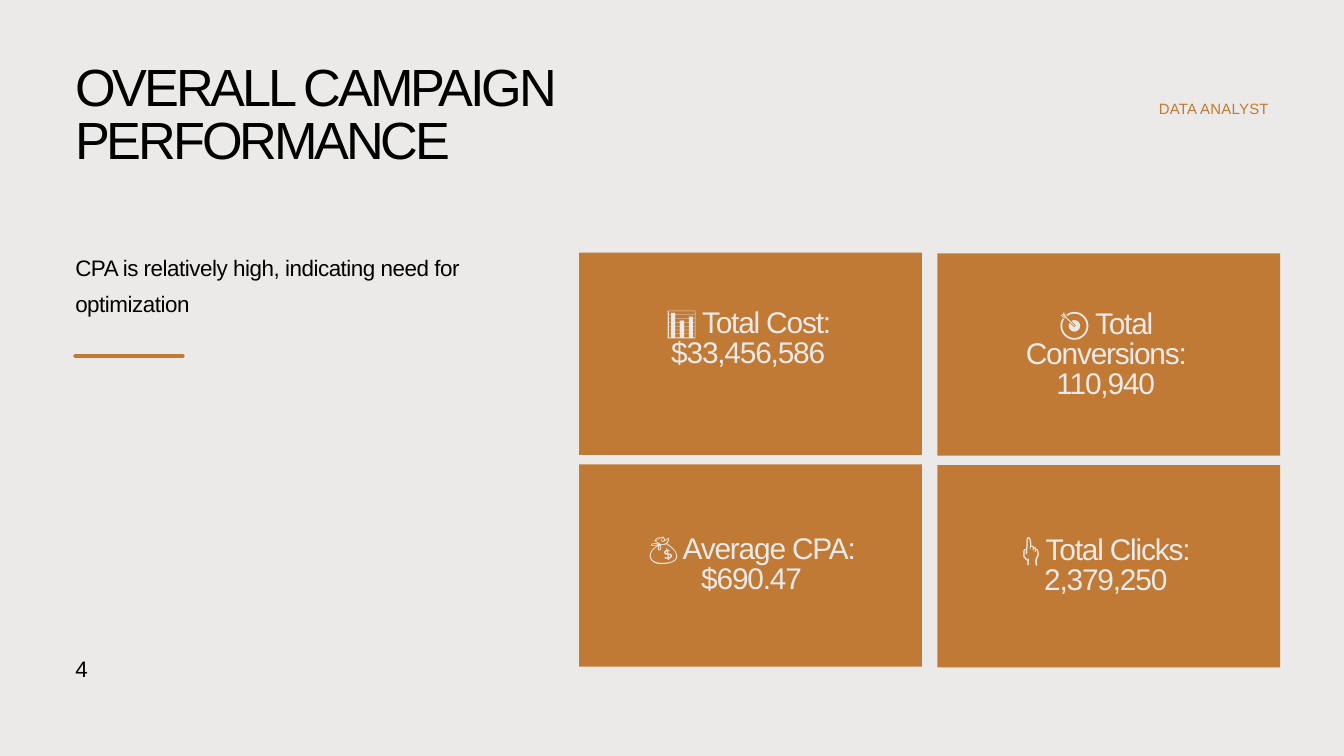
from lxml import etree
from pptx import Presentation
from pptx import util as u
from pptx.dml.color import RGBColor
from pptx.enum import shapes, text
from pptx.oxml.ns import qn

W, H = 20, 11.25
FONT = "Arial"
PAPER, ACCENT, INK = "EBEAE8", "C07A35", "000000"
LEFT = 1.12
L, C, R = text.PP_ALIGN.LEFT, text.PP_ALIGN.CENTER, text.PP_ALIGN.RIGHT

# Content: text, box, size, line spacing, colour, letter spacing, alignment
LABELS = [
    ("OVERALL CAMPAIGN PERFORMANCE", (LEFT, 0.97, 8.31, 2.4), 56, 56, INK, -3.4, L),
    ("DATA ANALYST", (12.98, 1.52, 5.9, 0.23), 16, 16, ACCENT, 0.3, R),
    ("CPA is relatively high, indicating need for optimization",
     (LEFT, 3.65, 7.08, 1.57), 24, 38.4, INK, -0.5, L),
    ("4", (LEFT, 9.61, 0.69, 0.51), 24, 38.4, INK, -0.5, L),
]
# Metric cards by row: text, text inset from the card's left, text width and height
CARDS = [
    [("📊 Total Cost: $33,456,586", 0.43, 4.17, 1.35),
     ("🎯 Total Conversions: 110,940", 0.76, 3.49, 1.79)],
    [("💰 Average CPA: $690.47", 0.48, 4.17, 1.35),
     ("👆 Total Clicks: 2,379,250", 0.76, 3.49, 1.35)],
]
GRID_X, GRID_Y = 8.62, 3.76
CARD_W, CARD_H = 5.1, 3.01
PITCH_X, PITCH_Y = 5.33, 3.15
COLUMN_DROP = 0.01          # the second column sits slightly lower
TEXT_TOP = [0.85, 1.06]     # text inset from the card's top, by row


def rgb(value):
    return RGBColor.from_string(value)


def inches(*values):
    return [u.Inches(v) for v in values]


def add_text(s, content, box, size, leading, color, tracking, align):
    tf = s.shapes.add_textbox(*inches(*box)).text_frame
    tf.word_wrap = True
    tf.margin_left = tf.margin_top = tf.margin_right = tf.margin_bottom = 0
    p = tf.paragraphs[0]
    p.alignment = align
    p.line_spacing = u.Pt(leading)
    r = p.add_run()
    r.text = content
    r.font.name = FONT
    r.font.size = u.Pt(size)
    r.font.color.rgb = rgb(color)
    r.font._element.set("spc", str(round(tracking * 100)))


def add_card(s, x, y):
    sp = s.shapes.add_shape(shapes.MSO_SHAPE.RECTANGLE, *inches(x, y, CARD_W, CARD_H))
    sp.shadow.inherit = False
    sp.fill.solid()
    sp.fill.fore_color.rgb = rgb(ACCENT)
    sp.line.fill.background()


def add_rule(s, x1, x2, y):
    line = s.shapes.add_connector(shapes.MSO_CONNECTOR.STRAIGHT, *inches(x1, y, x2, y))
    line.line.color.rgb = rgb(ACCENT)
    line.line.width = u.Pt(4)
    line.line._ln.set("cap", "rnd")
    etree.SubElement(line._element.spPr, qn("a:effectLst"))


def main():
    prs = Presentation()
    prs.slide_width, prs.slide_height = inches(W, H)
    s = prs.slides.add_slide(prs.slide_layouts[6])
    s.background.fill.solid()
    s.background.fill.fore_color.rgb = rgb(PAPER)

    # Accent rule, heading and side text
    add_rule(s, LEFT, LEFT + 1.6, 5.3)
    for label in LABELS:
        add_text(s, *label)

    # Metric cards
    for row, cards in enumerate(CARDS):
        for col, (metric, inset, width, height) in enumerate(cards):
            x = GRID_X + col * PITCH_X
            y = GRID_Y + row * PITCH_Y + col * COLUMN_DROP
            add_card(s, x, y)
            add_text(s, metric, (x + inset, y + TEXT_TOP[row], width, height),
                     32, 32, PAPER, -1.3, C)

    prs.save("out.pptx")


if __name__ == "__main__":
    main()
